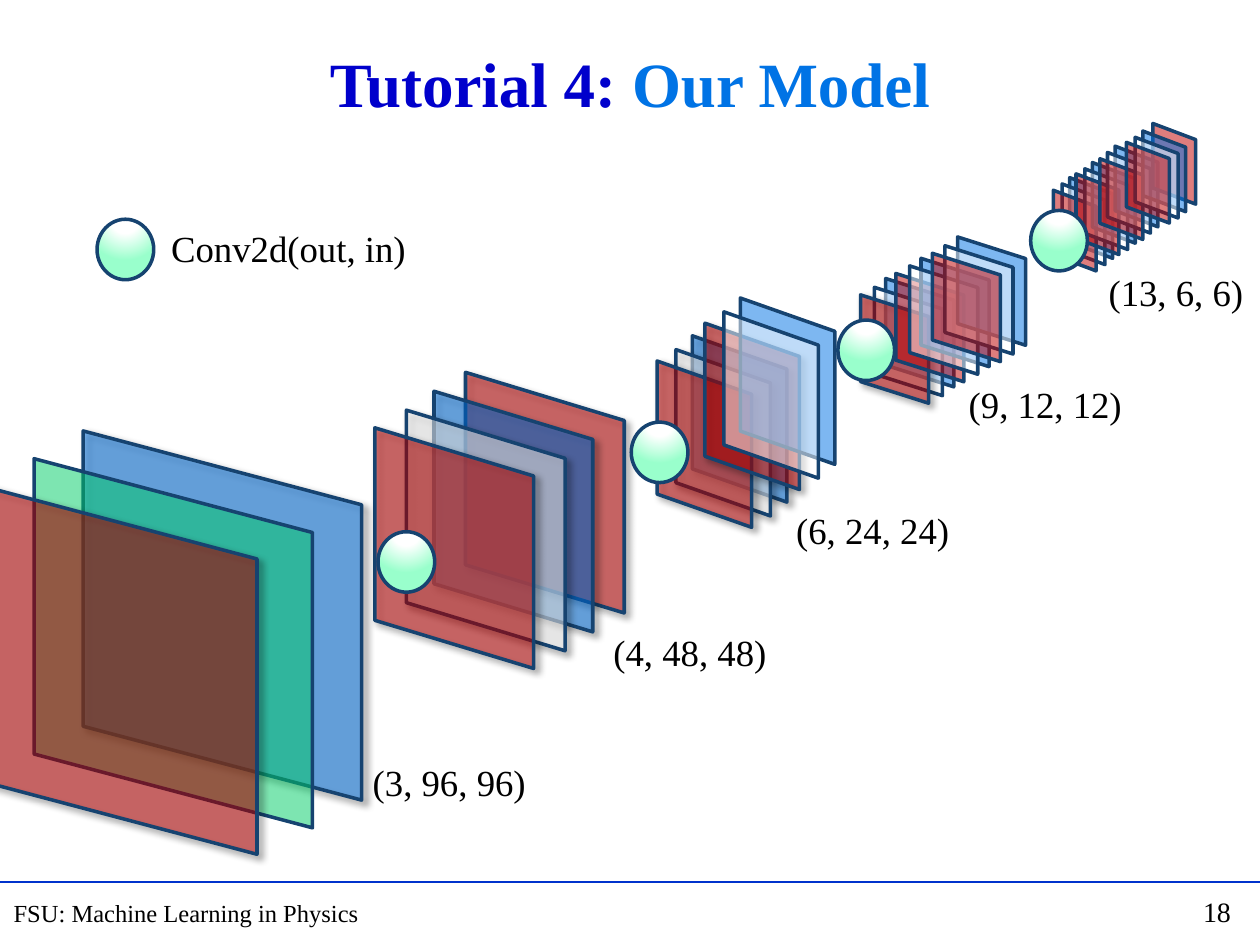
from dataclasses import dataclass

from pptx import Presentation
from pptx.dml.color import RGBColor
from pptx.enum.shapes import MSO_CONNECTOR, MSO_SHAPE
from pptx.enum.text import MSO_AUTO_SIZE, PP_ALIGN
from pptx.oxml import parse_xml
from pptx.oxml.ns import nsdecls
from pptx.oxml.xmlchemy import OxmlElement
from pptx.util import Inches, Pt

FONT = "Times New Roman"
BLACK = RGBColor(0x00, 0x00, 0x00)
NAVY = RGBColor(0x00, 0x00, 0xCC)
BLUE = RGBColor(0x00, 0x73, 0xE5)
RED = RGBColor(0xC0, 0x00, 0x00)
GREEN = RGBColor(0x00, 0xCC, 0x66)
WHITE = RGBColor(0xFF, 0xFF, 0xFF)
EDGE = RGBColor(0x16, 0x43, 0x70)
RULE = RGBColor(0x00, 0x33, 0xCC)
TINTS = {"R": RED, "G": GREEN, "B": BLUE, "W": WHITE}

SHADE = f"""<a:outerShdw {nsdecls('a')} blurRad="50800" dist="38100" dir="2700000"
 algn="tl" rotWithShape="0"><a:srgbClr val="000000"><a:alpha val="40000"/>
</a:srgbClr></a:outerShdw>"""
GLOW = f"""<a:gradFill {nsdecls('a')} rotWithShape="1"><a:gsLst>
<a:gs pos="0"><a:srgbClr val="FFFFFF"/></a:gs>
<a:gs pos="35000"><a:srgbClr val="FFFFFF"/></a:gs>
<a:gs pos="100000"><a:srgbClr val="99FFCC"/></a:gs></a:gsLst>
<a:path path="circle"><a:fillToRect l="50000" t="-80000" r="50000" b="180000"/></a:path>
</a:gradFill>"""


@dataclass
class Stack:
    """Feature maps of one layer, back to front; cast lists those with a shadow."""
    label: str
    spot: tuple[float, float]
    size: tuple[float, float]
    tints: str
    places: list[tuple[float, float]]
    cast: tuple[int, ...] = ()


STACKS = [
    Stack("(4, 48, 48)", (4.77, 4.95), (1.91, 1.26), "RBWR",
          [(3.37, 3.28), (3.12, 3.43), (2.9, 3.58), (2.65, 3.72)], (0, 1, 2, 3)),
    Stack("(3, 96, 96)", (2.86, 5.98), (2.93, 2.21), "BGR",
          [(0.3, 3.78), (-0.09, 4), (-0.53, 4.21)], (0, 2)),
    Stack("(9, 12, 12)", (7.59, 2.98), (0.86, 0.54), "BWRRBWBWR",
          [(6.87, 2.37), (6.78, 2.44), (6.67, 2.5), (6.95, 2.33), (7.15, 2.21),
           (7.06, 2.27), (7.44, 2.04), (7.34, 2.11), (7.24, 2.17)], (2,)),
    Stack("(6, 24, 24)", (6.22, 3.98), (1.32, 0.75), "BWRRBW",
          [(5.21, 2.95), (5.08, 3.06), (4.93, 3.15), (5.31, 2.85), (5.59, 2.65),
           (5.46, 2.76)], (0, 1, 2, 3)),
    Stack("(13, 6, 6)", (8.7, 2.09), (0.64, 0.34), "BWRBWRBWRRBWR",
          [(8.34, 1.56), (8.28, 1.61), (8.21, 1.66), (8.52, 1.44), (8.46, 1.49),
           (8.39, 1.53), (8.7, 1.31), (8.64, 1.36), (8.58, 1.41), (9, 1.13),
           (8.92, 1.19), (8.86, 1.24), (8.79, 1.28)]),
]
BALLS = [(3, 4.22), (5.01, 3.35), (6.65, 2.54), (8.18, 1.67), (0.77, 1.74)]


def write(slide, runs: list[tuple[str, RGBColor]], x: float, y: float,
          w: float, h: float, *, size: float = 21, bold: bool = False,
          wrap: bool = False, align=PP_ALIGN.LEFT, top: float = 0.05) -> None:
    box = slide.shapes.add_textbox(Inches(x), Inches(y), Inches(w), Inches(h))
    frame = box.text_frame
    frame.word_wrap = wrap
    frame.auto_size = MSO_AUTO_SIZE.NONE if wrap else MSO_AUTO_SIZE.SHAPE_TO_FIT_TEXT
    frame.margin_top = Inches(top)
    line = frame.paragraphs[0]
    line.alignment = align
    for text, tint in runs:
        run = line.add_run()
        run.text = text
        run.font.name = FONT
        run.font.size = Pt(size)
        run.font.bold = bold
        run.font.color.rgb = tint


def add_form(shapes, kind, x: float, y: float, w: float, h: float):
    """Add an outlined shape without a shadow."""
    form = shapes.add_shape(kind, Inches(x), Inches(y), Inches(w), Inches(h))
    form.shadow.inherit = False
    form.line.color.rgb = EDGE
    form.line.width = Pt(2)
    return form


def draw_stack(slide, stack: Stack) -> None:
    group = slide.shapes.add_group_shape()
    for i, (tint, place) in enumerate(zip(stack.tints, stack.places)):
        sheet = add_form(group.shapes, MSO_SHAPE.FLOWCHART_DATA, *place, *stack.size)
        sheet.rotation = 270
        sheet.fill.solid()
        sheet.fill.fore_color.rgb = TINTS[tint]
        props = sheet._element.spPr
        alpha = OxmlElement("a:alpha")
        alpha.set("val", "51000")
        props.find(".//{*}srgbClr").append(alpha)
        if i in stack.cast:
            props.find("{*}effectLst").append(parse_xml(SHADE))


def draw_ball(slide, x: float, y: float) -> None:
    ball = add_form(slide.shapes, MSO_SHAPE.OVAL, x, y, 0.45, 0.48)
    ball._element.spPr.find("{*}prstGeom").addnext(parse_xml(GLOW))


def draw_foot(slide) -> None:
    rule = slide.shapes.add_connector(
        MSO_CONNECTOR.STRAIGHT, Inches(0), Inches(7), Inches(10), Inches(7))
    rule.line.color.rgb = RULE
    rule.line.width = Pt(1)
    rule._element.spPr.append(OxmlElement("a:effectLst"))
    write(slide, [("FSU: Machine Learning in Physics", BLACK)],
          0.01, 7.08, 2.96, 0.34, size=14)
    write(slide, [("18", BLACK)], 9.45, 7.05, 0.46, 0.37, size=16)


def main() -> None:
    deck = Presentation()
    deck.slide_width, deck.slide_height = Inches(10), Inches(7.5)
    slide = deck.slides.add_slide(deck.slide_layouts[6])
    draw_foot(slide)
    for stack in STACKS:
        draw_stack(slide, stack)
    for stack in STACKS:
        write(slide, [(stack.label, BLACK)], *stack.spot, 1.43, 0.45)
    for spot in BALLS:
        draw_ball(slide, *spot)
    write(slide, [("Conv2d(out, in)", BLACK)], 1.26, 1.74, 2.08, 0.45)
    write(slide, [("Tutorial 4: ", NAVY), ("Our Model", BLUE)],
          0.75, 0.25, 8.5, 0.92, size=36, bold=True, wrap=True,
          align=PP_ALIGN.CENTER, top=0.1)
    deck.save("out.pptx")


if __name__ == "__main__":
    main()
